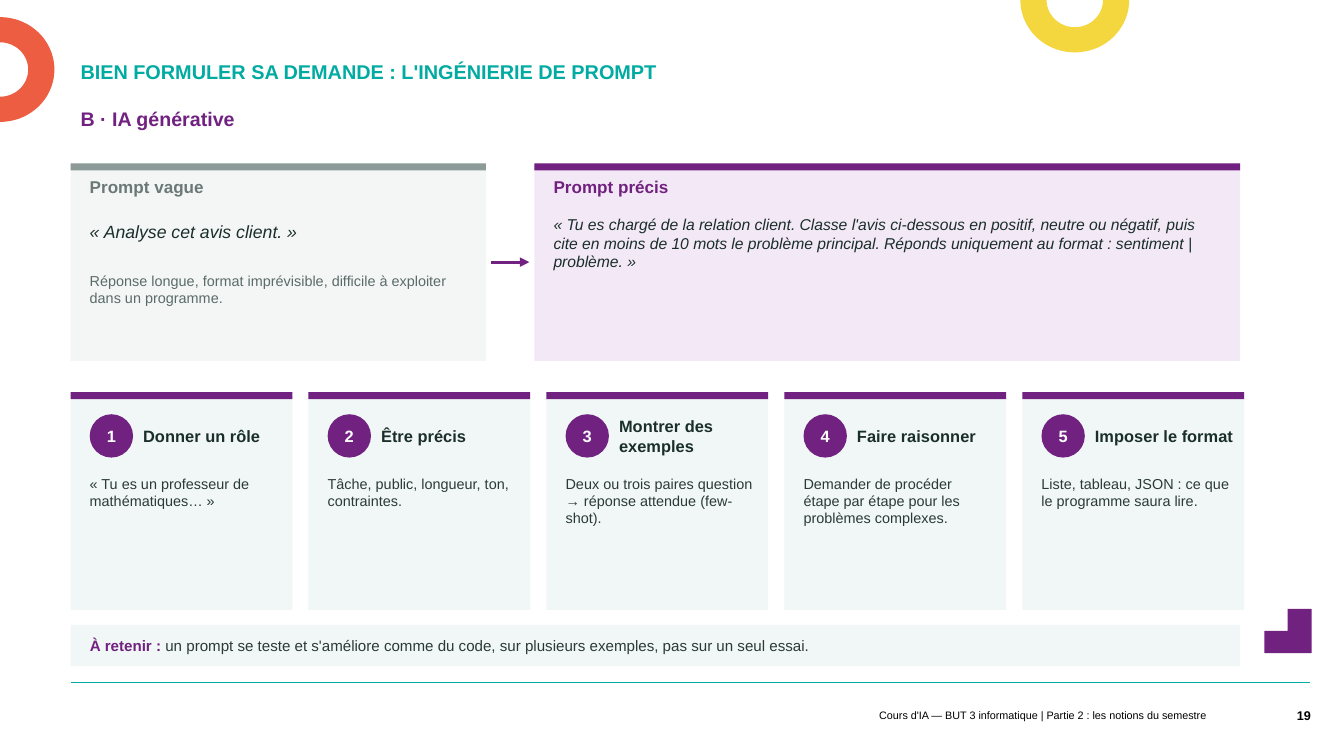
from dataclasses import dataclass
from math import cos, radians, sin

from lxml.etree import SubElement
from pptx import Presentation
from pptx.dml.color import RGBColor
from pptx.enum.shapes import MSO_CONNECTOR as Connector, MSO_SHAPE as Preset
from pptx.enum.text import MSO_ANCHOR as Anchor, PP_ALIGN as Align
from pptx.oxml.ns import qn
from pptx.util import Inches, Pt


@dataclass(frozen=True)
class Theme:
    font: str = "Arial"
    # Colours
    purple: str = "712180"
    teal: str = "00ABA2"
    red: str = "ED5D42"
    yellow: str = "F4D73F"
    lilac: str = "F3E8F5"
    mint: str = "F0F7F6"
    pale_grey: str = "F4F6F6"
    grey: str = "8C9A98"
    grey_heading: str = "6B7876"
    grey_text: str = "5A6B68"
    ink: str = "1A2E2B"
    body: str = "2B3A38"
    black: str = "000000"
    white: str = "FFFFFF"
    # Type sizes
    title_size: float = 14.2
    subtitle_size: float = 14
    vague_size: float = 12.6
    heading_size: float = 12.2
    step_size: float = 11.7
    precise_size: float = 11.2
    takeaway_size: float = 10.8
    small_size: float = 10.3
    page_size: float = 9
    footer_size: float = 7.7


THEME = Theme()
LEFT = 0.7
PADDING = 0.19
BAND = 0.07
NO_INSETS = (0, 0, 0, 0)
TEXT_INSETS = (0.1, 0.05, 0.1, 0.05)

STEPS = [
    ("Donner un rôle", "« Tu es un professeur de mathématiques… »"),
    ("Être précis", "Tâche, public, longueur, ton, contraintes."),
    ("Montrer des exemples", "Deux ou trois paires question → réponse attendue (few-shot)."),
    ("Faire raisonner", "Demander de procéder étape par étape pour les problèmes complexes."),
    ("Imposer le format", "Liste, tableau, JSON : ce que le programme saura lire."),
]


def paint(shape, color):
    shape.shadow.inherit = False
    shape.fill.solid()
    shape.fill.fore_color.rgb = RGBColor.from_string(color)
    shape.line.fill.background()


def add_preset(slide, preset, left, top, width, height, color):
    shape = slide.shapes.add_shape(
        preset, Inches(left), Inches(top), Inches(width), Inches(height))
    paint(shape, color)
    return shape


def add_outline(slide, points, color):
    corners = [(Inches(x), Inches(y)) for x, y in points]
    builder = slide.shapes.build_freeform(*corners[0])
    builder.add_line_segments(corners[1:], close=True)
    paint(builder.convert_to_shape(), color)


def add_half_ring(slide, center_x, center_y, start_angle, color):
    """Draw the half of a ring that runs 180 degrees clockwise from start_angle."""
    def arc(radius_x, radius_y):
        angles = [radians(start_angle + step) for step in range(0, 181, 5)]
        return [(center_x + radius_x * cos(angle), center_y + radius_y * sin(angle))
                for angle in angles]
    add_outline(slide, arc(0.54, 0.52) + arc(0.28, 0.27)[::-1], color)


def run(text, size, color, bold=False, italic=False):
    return text, size, color, bold, italic


def write(shape, runs, align=Align.LEFT, anchor=Anchor.TOP, insets=NO_INSETS, spacing=None):
    frame = shape.text_frame
    frame.word_wrap = True
    frame.vertical_anchor = anchor
    frame.margin_left, frame.margin_top, frame.margin_right, frame.margin_bottom = map(
        Inches, insets)
    paragraph = frame.paragraphs[0]
    paragraph.alignment = align
    if spacing is not None:
        paragraph.line_spacing = spacing
    for text, size, color, bold, italic in runs:
        piece = paragraph.add_run()
        piece.text = text
        font = piece.font
        font.name, font.size, font.bold, font.italic = THEME.font, Pt(size), bold, italic
        font.color.rgb = RGBColor.from_string(color)


def add_text(slide, left, top, width, height, *runs, **layout):
    box = slide.shapes.add_textbox(Inches(left), Inches(top), Inches(width), Inches(height))
    write(box, runs, **layout)


def add_line(slide, start, end, color, weight, arrow=False):
    line = slide.shapes.add_connector(
        Connector.STRAIGHT, *map(Inches, start), *map(Inches, end))
    line.line.color.rgb = RGBColor.from_string(color)
    line.line.width = Pt(weight)
    if arrow:
        SubElement(line.line._get_or_add_ln(), qn("a:tailEnd"), type="triangle")
    SubElement(line._element.spPr, qn("a:effectLst"))


def add_panel(slide, left, top, width, height, color, band_color):
    add_preset(slide, Preset.RECTANGLE, left, top, width, height, color)
    add_preset(slide, Preset.RECTANGLE, left, top, width, BAND, band_color)


def add_prompt(slide, left, width, title, color, band_color, title_color):
    add_panel(slide, left, 1.62, width, 1.96, color, band_color)
    add_text(slide, left + PADDING, 1.75, width - 2 * PADDING, 0.36,
             run(title, THEME.heading_size, title_color, bold=True))


def add_step(slide, number, left, title, advice):
    inner = left + PADDING
    add_panel(slide, left, 3.89, 2.2, 2.16, THEME.mint, THEME.purple)
    badge = add_preset(slide, Preset.OVAL, inner, 4.11, 0.43, 0.43, THEME.purple)
    write(badge, [run(str(number), THEME.step_size, THEME.white, bold=True)],
          align=Align.CENTER, anchor=Anchor.MIDDLE)
    add_text(slide, left + 0.72, 4.04, 1.44, 0.57,
             run(title, THEME.step_size, THEME.ink, bold=True), anchor=Anchor.MIDDLE)
    add_text(slide, inner, 4.71, 1.87, 1.29, run(advice, THEME.small_size, THEME.body))


def add_decor(slide):
    add_half_ring(slide, 10.66, 0, 0, THEME.yellow)
    add_half_ring(slide, 0, 0.69, -90, THEME.red)
    add_outline(slide, [(12.77, 6.04), (13.01, 6.04), (13.01, 6.48),
                        (12.54, 6.48), (12.54, 6.26), (12.77, 6.26)], THEME.purple)
    add_line(slide, (LEFT, 6.77), (12.99, 6.77), THEME.teal, 0.5)


def main():
    presentation = Presentation()
    presentation.slide_width, presentation.slide_height = Inches(13.33), Inches(7.5)
    slide = presentation.slides.add_slide(presentation.slide_layouts[6])
    add_decor(slide)

    # Titles
    add_text(slide, LEFT, 0.54, 9.72, 0.34,
             run("BIEN FORMULER SA DEMANDE : L'INGÉNIERIE DE PROMPT",
                 THEME.title_size, THEME.teal, bold=True),
             anchor=Anchor.BOTTOM, insets=TEXT_INSETS, spacing=Pt(16.7))
    add_text(slide, LEFT, 1.04, 9.72, 0.46,
             run("B · IA générative", THEME.subtitle_size, THEME.purple, bold=True),
             insets=TEXT_INSETS, spacing=0.9)

    # Vague prompt against precise prompt
    add_prompt(slide, LEFT, 4.12, "Prompt vague",
               THEME.pale_grey, THEME.grey, THEME.grey_heading)
    add_text(slide, 0.89, 2.19, 3.74, 0.52,
             run("« Analyse cet avis client. »", THEME.vague_size, THEME.ink, italic=True))
    add_text(slide, 0.89, 2.7, 3.74, 0.82,
             run("Réponse longue, format imprévisible, difficile à exploiter "
                 "dans un programme.", THEME.small_size, THEME.grey_text))
    add_line(slide, (4.87, 2.6), (5.25, 2.6), THEME.purple, 2.25, arrow=True)
    add_prompt(slide, 5.3, 7, "Prompt précis", THEME.lilac, THEME.purple, THEME.purple)
    add_text(slide, 5.49, 2.13, 6.61, 1.34,
             run("« Tu es chargé de la relation client. Classe l'avis ci-dessous en positif, "
                 "neutre ou négatif, puis cite en moins de 10 mots le problème principal. "
                 "Réponds uniquement au format : sentiment | problème. »",
                 THEME.precise_size, THEME.ink, italic=True))

    # Five steps
    for index, (title, advice) in enumerate(STEPS):
        add_step(slide, index + 1, LEFT + index * 2.36, title, advice)

    # Takeaway
    add_preset(slide, Preset.RECTANGLE, LEFT, 6.2, 11.6, 0.41, THEME.mint)
    add_text(slide, 0.89, 6.2, 11.31, 0.41,
             run("À retenir : ", THEME.takeaway_size, THEME.purple, bold=True),
             run("un prompt se teste et s'améliore comme du code, sur plusieurs exemples, "
                 "pas sur un seul essai.", THEME.takeaway_size, THEME.body),
             anchor=Anchor.MIDDLE)

    # Footer
    add_text(slide, 5.43, 6.98, 6.63, 0.23,
             run("Cours d'IA — BUT 3 informatique | Partie 2 : les notions du semestre",
                 THEME.footer_size, THEME.black),
             align=Align.RIGHT, anchor=Anchor.MIDDLE, insets=TEXT_INSETS)
    add_text(slide, 12.45, 6.9, 0.55, 0.4,
             run("19", THEME.page_size, THEME.black, bold=True),
             align=Align.RIGHT, anchor=Anchor.MIDDLE, insets=(0.1, 0.05, 0, 0.05))

    presentation.save("out.pptx")


if __name__ == "__main__":
    main()
